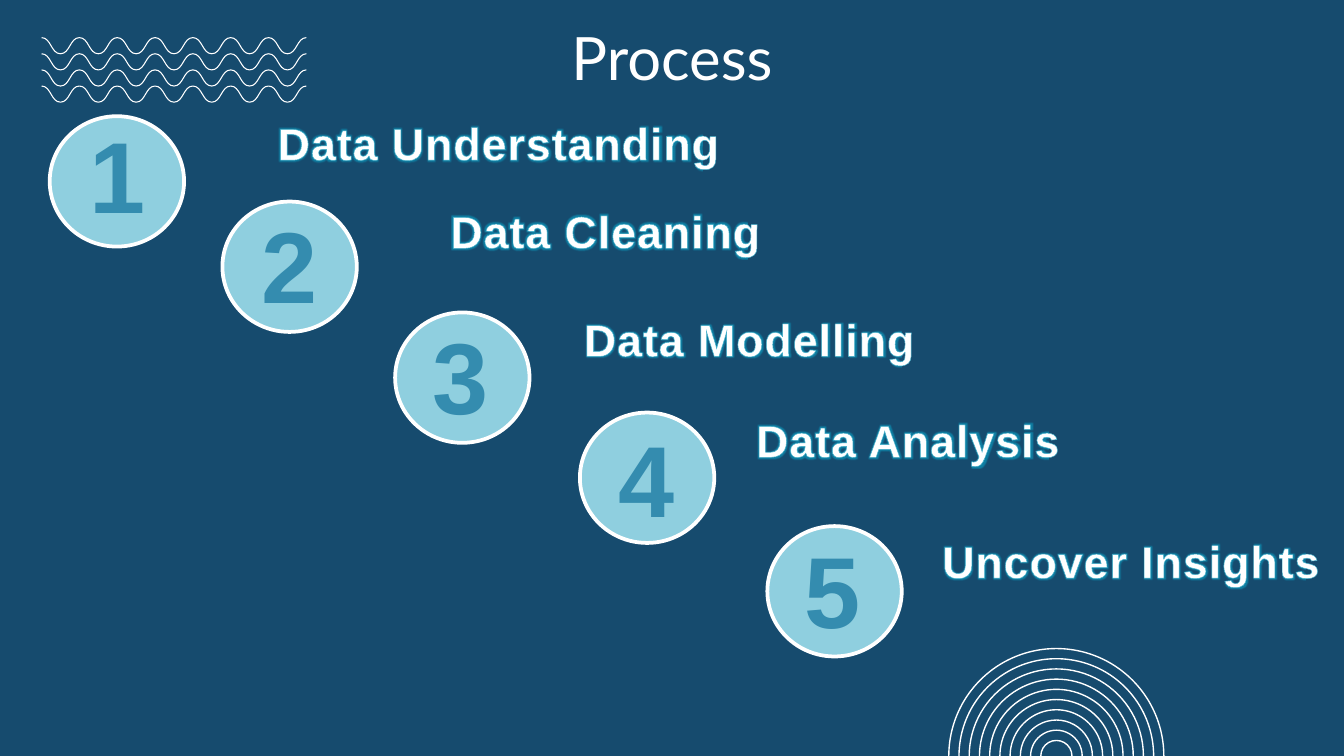
from dataclasses import dataclass

from pptx import Presentation
from pptx.dml.color import RGBColor
from pptx.enum.dml import MSO_PATTERN
from pptx.enum.shapes import MSO_SHAPE
from pptx.enum.text import MSO_ANCHOR, MSO_AUTO_SIZE, PP_ALIGN
from pptx.oxml import parse_xml
from pptx.oxml.ns import nsdecls, qn
from pptx.util import Inches, Pt

COLS, ROWS = 100, 56.25


@dataclass(frozen=True)
class Theme:
    background: str = "164B6E"
    white: str = "FFFFFF"
    disc: str = "8FCFDF"
    number: str = "348CAF"
    label_line: str = "44AFC9"
    label_glow: str = "0F7FA3"
    title_font: str = "Lato"
    body_font: str = "Arial"
    title_size: int = 32
    number_size: int = 54
    label_size: int = 24


@dataclass(frozen=True)
class Step:
    label: str
    disc: tuple
    number: tuple
    label_box: tuple


STEPS = [
    Step("Data Understanding", (3.7, 8.65), (5.65, 7.9), (19.45, 8.1, 35.3)),
    Step("Data Cleaning", (16.55, 15), (18.45, 14.6), (32.35, 14.65, 25.4)),
    Step("Data Modelling", (29.4, 23.25), (31.2, 22.85), (42.3, 22.7, 26.9)),
    Step("Data Analysis", (43.15, 30.7), (45, 30.5), (55.05, 30.2, 25)),
    Step("Uncover Insights", (57.1, 39.15), (58.85, 38.75), (66.2, 39.2, 35.9)),
]


def rgb(color):
    return RGBColor.from_string(color)


def write(tf, text, *, font, size, color, bold=False, pattern=None,
          spacing=None, outline=None, glow=None):
    """Put one centred line in a text frame; outline is (colour, points)."""
    p = tf.paragraphs[0]
    p.alignment = PP_ALIGN.CENTER
    r = p.add_run()
    r.text = text
    f = r.font
    f.size, f.bold = Pt(size), bold
    if pattern:
        f.fill.patterned()
        f.fill.pattern = pattern
        f.fill.fore_color.rgb = rgb(Theme.white)
        f.fill.back_color.rgb = rgb(color)
    else:
        f.fill.solid()
        f.fill.fore_color.rgb = rgb(color)
    rPr = r._r.get_or_add_rPr()
    if spacing:
        rPr.set("spc", str(round(spacing * 100)))
    if outline:
        line_color, width = outline
        rPr.insert(0, parse_xml(
            f'<a:ln {nsdecls("a")} w="{Pt(width)}"><a:solidFill>'
            f'<a:srgbClr val="{line_color}"/></a:solidFill></a:ln>'))
    if glow:
        rPr.append(parse_xml(
            f'<a:effectLst {nsdecls("a")}><a:glow rad="{Pt(3)}">'
            f'<a:srgbClr val="{glow}"/></a:glow></a:effectLst>'))
    f.name = font


def smooth_waves(sp):
    """Turn each straight segment into a curve that is level at both ends."""
    path = next(sp._element.iter(qn("a:path")))
    x0, y0 = 0, 0
    for step in list(path):
        pt = step.find(qn("a:pt"))
        if pt is None:
            continue
        x, y = int(pt.get("x")), int(pt.get("y"))
        if step.tag == qn("a:lnTo"):
            mid = (x0 + x) // 2
            pts = "".join(f'<a:pt x="{px}" y="{py}"/>'
                          for px, py in ((mid, y0), (mid, y), (x, y)))
            path.replace(step, parse_xml(
                f'<a:cubicBezTo {nsdecls("a")}>{pts}</a:cubicBezTo>'))
        x0, y0 = x, y


class ProcessSlide:
    """Draws on one slide, with lengths in grid columns and rows."""

    def __init__(self, prs, theme):
        self.theme = theme
        self.col = prs.slide_width / COLS
        self.row = prs.slide_height / ROWS
        self.s = prs.slides.add_slide(prs.slide_layouts[5])
        fill = self.s.background.fill
        fill.solid()
        fill.fore_color.rgb = rgb(theme.background)

    def box(self, x, y, w, h):
        return (round(x * self.col), round(y * self.row),
                round(w * self.col), round(h * self.row))

    def outline(self, sp, width, fill=None):
        sp.shadow.inherit = False
        if fill:
            sp.fill.solid()
            sp.fill.fore_color.rgb = rgb(fill)
        else:
            sp.fill.background()
        sp.line.color.rgb = rgb(self.theme.white)
        sp.line.width = Pt(width)

    def title(self, text, *box):
        sp = self.s.shapes.title
        sp.left, sp.top, sp.width, sp.height = self.box(*box)
        tf = sp.text_frame
        tf.vertical_anchor = MSO_ANCHOR.BOTTOM
        tf.margin_left = tf.margin_right = Inches(0.1)
        tf.margin_top = tf.margin_bottom = Inches(0.1)
        write(tf, text, font=self.theme.title_font,
              size=self.theme.title_size, color=self.theme.white)

    def half_ring(self, cx, cy, diameter):
        sp = self.s.shapes.add_shape(MSO_SHAPE.ARC, *self.box(
            cx - diameter / 2, cy - diameter / 2, diameter, diameter))
        sp.adjustments[0], sp.adjustments[1] = 162, 54
        sp.rotation = 270
        self.outline(sp, 0.75)

    def wave(self, x, y, width, height, halves):
        """Draw an open wave that starts on a crest."""
        points = [(round((x + width * i / halves) * self.col),
                   round((y + height * (i % 2)) * self.row))
                  for i in range(halves + 1)]
        builder = self.s.shapes.build_freeform(*points[0])
        builder.add_line_segments(points[1:], close=False)
        sp = builder.convert_to_shape()
        smooth_waves(sp)
        self.outline(sp, 0.58)

    def disc(self, x, y):
        sp = self.s.shapes.add_shape(MSO_SHAPE.FLOWCHART_CONNECTOR,
                                     *self.box(x, y, 10, 9.7))
        self.outline(sp, 2, self.theme.disc)

    def text(self, text, *box, **fmt):
        tf = self.s.shapes.add_textbox(*self.box(*box)).text_frame
        tf.word_wrap = False
        tf.auto_size = MSO_AUTO_SIZE.SHAPE_TO_FIT_TEXT
        write(tf, text, font=self.theme.body_font, bold=True, **fmt)

    def number(self, value, x, y):
        self.text(str(value), x, y, 6.2, 10.1, size=self.theme.number_size,
                  color=self.theme.number, outline=(self.theme.white, 1),
                  pattern=MSO_PATTERN.LIGHT_DOWNWARD_DIAGONAL)

    def label(self, text, x, y, w):
        self.text(text, x, y, w, 5, size=self.theme.label_size,
                  color=self.theme.white, spacing=0.5,
                  outline=(self.theme.label_line, 0.75),
                  glow=self.theme.label_glow)


def main():
    prs = Presentation()
    prs.slide_width, prs.slide_height = Inches(10), Inches(5.625)
    slide = ProcessSlide(prs, Theme())

    for i in range(10):
        slide.half_ring(78.6, 56.25, 16 - 1.52 * i)
    for i in range(4):
        slide.wave(3.1, 2.8 + 1.2 * i, 19.7, 1.2, 14)
    slide.title("Process", 31.7, 1.5, 36.6, 6.4)
    for step in STEPS:
        slide.disc(*step.disc)
    for value, step in enumerate(STEPS, 1):
        slide.number(value, *step.number)
    for step in STEPS:
        slide.label(step.label, *step.label_box)

    prs.save("out.pptx")


if __name__ == "__main__":
    main()
